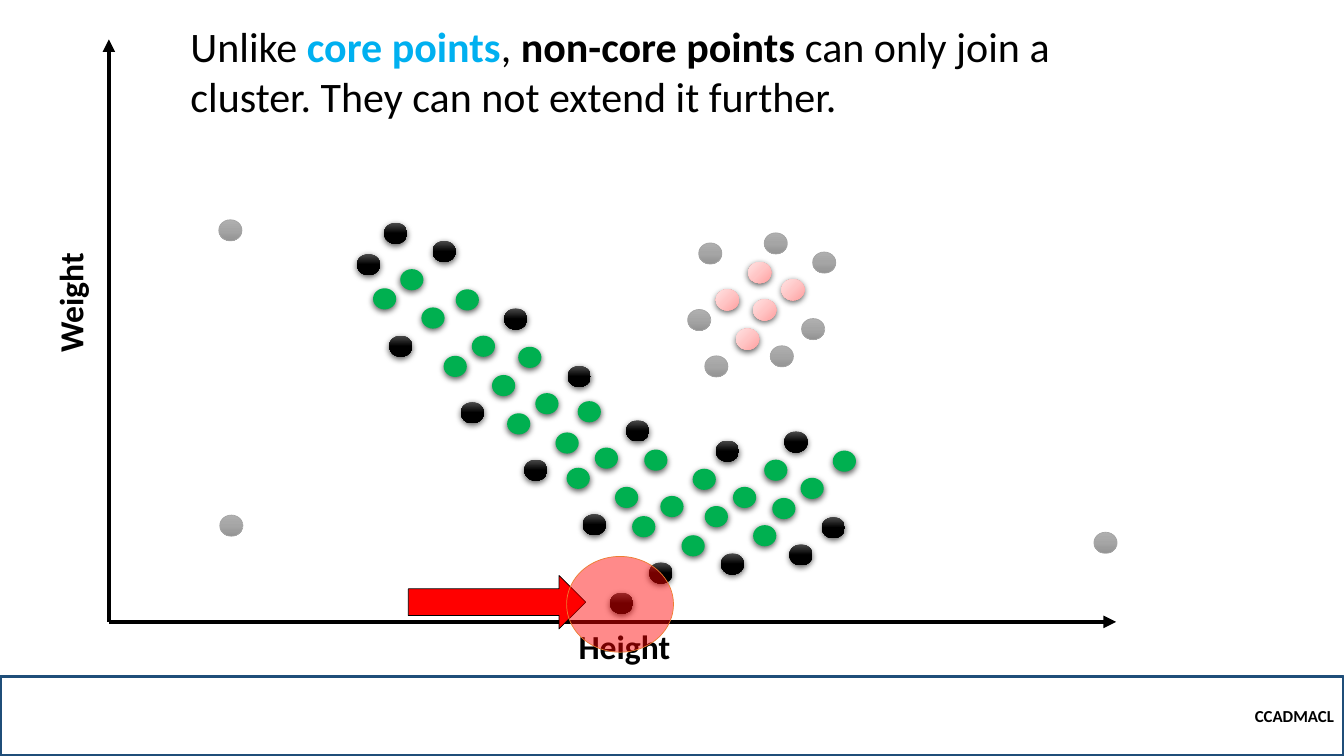
from pptx import Presentation
from pptx.dml.color import RGBColor
from pptx.enum.shapes import MSO_CONNECTOR as Link, MSO_SHAPE as Shape
from pptx.enum.text import MSO_ANCHOR as Anchor, PP_ALIGN as Align
from pptx.oxml import parse_xml
from pptx.oxml.ns import nsdecls, qn
from pptx.util import Inches, Pt
from lxml.etree import SubElement

FONT = "Calibri"
HUES = {
    "black": "000000", "green": "00B050", "blue": "00B0F0", "navy": "1F4E79",
    "red": "FF0000", "orange": "ED7D31", "grey": "A5A5A5",
}

# Gradient stops and angle for each shaded kind of point
SHADES = {
    "edge": (("4B4B4B", "000000", "000000"), 90),
    "noise": (("AFAFAF", "A5A5A5", "939393"), 90),
    "other": (("FFA0A0", "FFC5C5", "FFE3E3"), 225),
}

# Left and top of each point, by kind
POINTS = {
    "core": [
        (3.97, 2.67), (3.7, 2.86), (4.18, 3.05), (4.52, 2.87), (4.68, 3.33),
        (4.4, 3.53), (4.88, 3.72), (5.14, 3.44), (5.31, 3.9), (5.03, 4.1),
        (5.51, 4.29), (5.73, 3.98), (5.9, 4.44), (5.62, 4.64), (6.1, 4.83),
        (6.39, 4.46), (6.55, 4.92), (6.87, 4.65), (6.27, 5.12), (6.76, 5.31),
        (7.27, 4.83), (7.58, 4.56), (6.99, 5.02), (7.47, 5.21), (7.94, 4.74),
        (8.26, 4.47), (7.66, 4.94),
    ],
    "edge": [
        (3.81, 2.21), (4.29, 2.39), (3.86, 3.33), (5, 3.06), (4.57, 3.99),
        (5.63, 3.63), (5.2, 4.56), (6.21, 4.17), (5.78, 5.1), (6.44, 5.58),
        (7.1, 4.37), (7.15, 5.49), (7.78, 4.28), (7.83, 5.4), (8.15, 5.13),
        (3.54, 2.52), (6.05, 5.88),
    ],
    "noise": [
        (6.93, 2.41), (6.82, 3.07), (6.99, 3.53), (7.58, 2.31), (8.06, 2.5),
        (7.64, 3.43), (7.95, 3.16), (2.17, 2.18), (2.18, 5.11), (10.85, 5.28),
    ],
    "other": [(7.1, 2.87), (7.42, 2.6), (7.3, 3.26), (7.75, 2.77), (7.47, 2.97)],
}


def tint(name):
    return RGBColor.from_string(HUES[name])


def add_form(slide, kind, box, fill=None, line=None, width=0.5):
    form = slide.shapes.add_shape(kind, *map(Inches, box))
    form.shadow.inherit = False
    if fill:
        form.fill.solid()
        form.fill.fore_color.rgb = tint(fill)
    else:
        form.fill.background()
    if line:
        form.line.color.rgb = tint(line)
        form.line.width = Pt(width)
    else:
        form.line.fill.background()
    return form


def shade(form, stops, angle):
    marks = "".join(
        f'<a:gs pos="{i * 50000}"><a:srgbClr val="{hue}"/></a:gs>'
        for i, hue in enumerate(stops))
    grad = parse_xml(
        f'<a:gradFill {nsdecls("a")} rotWithShape="1"><a:gsLst>{marks}</a:gsLst>'
        f'<a:lin ang="{angle * 60000}" scaled="0"/></a:gradFill>')
    props = form._element.spPr
    props.replace(props.find(qn("a:noFill")), grad)


def cast(form):
    glow = form._element.spPr.find(qn("a:effectLst"))
    glow.append(parse_xml(
        f'<a:outerShdw {nsdecls("a")} blurRad="{Pt(4.5)}" dist="{Pt(1.5)}" '
        'dir="5400000" algn="ctr" rotWithShape="0"><a:srgbClr val="000000">'
        '<a:alpha val="63000"/></a:srgbClr></a:outerShdw>'))


def add_point(slide, kind, left, top):
    dot = add_form(slide, Shape.OVAL, (left, top, 0.23, 0.21),
                   "green" if kind == "core" else None,
                   "grey" if kind == "noise" else None)
    if kind in SHADES:
        shade(dot, *SHADES[kind])
    if kind != "noise":
        cast(dot)


def add_axis(slide, end):
    axis = slide.shapes.add_connector(
        Link.STRAIGHT, *map(Inches, (1.08, 6.17) + end))
    axis.line.color.rgb = tint("black")
    axis.line.width = Pt(3)
    SubElement(axis.line._get_or_add_ln(), qn("a:tailEnd"), type="triangle")
    SubElement(axis._element.spPr, qn("a:effectLst"))


def write(para, parts, size):
    for text, hue, bold in parts:
        run = para.add_run()
        run.text = text
        run.font.name = FONT
        run.font.size = Pt(size)
        run.font.bold = bold
        run.font.color.rgb = tint(hue)


def add_text(slide, box, parts, size, turn=0):
    label = slide.shapes.add_textbox(*map(Inches, box))
    label.rotation = turn
    label.text_frame.word_wrap = True
    write(label.text_frame.paragraphs[0], parts, size)


def add_footer(slide):
    bar = add_form(slide, Shape.RECTANGLE, (0, 6.71, 13.33, 0.79),
                   line="navy", width=2.25)
    bar.text_frame.vertical_anchor = Anchor.MIDDLE
    para = bar.text_frame.paragraphs[0]
    para.alignment = Align.RIGHT
    write(para, [("CCADMACL", "black", True)], 12)


def main():
    deck = Presentation()
    deck.slide_width, deck.slide_height = Inches(13.33), Inches(7.5)
    slide = deck.slides.add_slide(deck.slide_layouts[6])
    add_footer(slide)

    # Axes and their labels
    for end in ((11.07, 6.17), (1.08, 0.39)):
        add_axis(slide, end)
    add_text(slide, (5.64, 6.16, 1.17, 0.5), [("Height", "black", True)], 24)
    add_text(slide, (0.1, 2.75, 1.19, 0.5), [("Weight", "black", True)], 24, 270)

    # Headline
    add_text(slide, (1.79, 0.15, 9.28, 1.11), [
        ("Unlike ", "black", False),
        ("core points", "blue", True),
        (", ", "black", False),
        ("non-core points", "black", True),
        (" can only join a cluster. They can not extend it further.",
         "black", False),
    ], 30)

    # Scatter
    for kind, spots in POINTS.items():
        for left, top in spots:
            add_point(slide, kind, left, top)

    # Arrow and see-through reach of the marked point
    add_form(slide, Shape.RIGHT_ARROW, (4.05, 5.71, 1.76, 0.53), "red", "black")
    reach = add_form(slide, Shape.OVAL, (5.62, 5.52, 1.06, 0.95), "red", "orange")
    hue = reach._element.spPr.find(qn("a:solidFill")).find(qn("a:srgbClr"))
    SubElement(hue, qn("a:alpha"), val="46000")

    deck.save("out.pptx")


if __name__ == "__main__":
    main()
